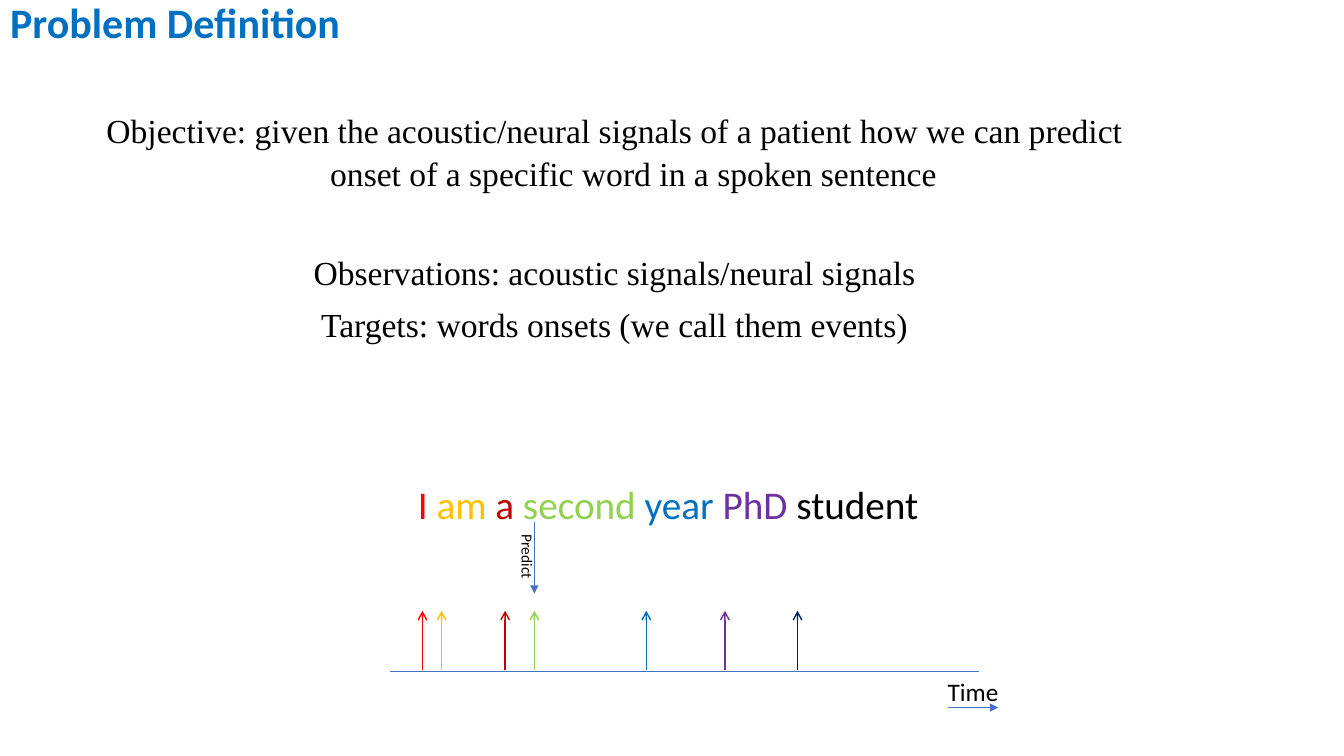
from lxml import etree
from pptx import Presentation
from pptx import util as u
from pptx.dml import color
from pptx.enum import shapes, text
from pptx.oxml import ns

COLORS = {
    "black": "000000", "blue": "0070C0", "red": "FF0000", "amber": "FFC000",
    "crimson": "C00000", "green": "92D050", "purple": "7030A0",
    "navy": "002060", "accent": "4472C4",
}
OBJECTIVE = [
    ("Objective: given the acoustic/neural signals of a patient how we can "
     "predict onset of a specific word in a spoken sentence", 0),
    ("Observations: acoustic signals/neural signals", 34),
    ("Targets: words onsets (we call them events)", 0),
]
SENTENCE = [
    ("I ", "red"), ("am ", "amber"), ("a ", "crimson"), ("second ", "green"),
    ("year ", "blue"), ("PhD", "purple"), (" student ", "black"),
]
ONSETS = [
    (4.19, "red"), (4.38, "amber"), (5.01, "crimson"), (5.3, "green"),
    (6.41, "blue"), (7.19, "purple"), (7.91, "navy"),
]
AXIS_Y = 6.66


def rgb(name):
    return color.RGBColor.from_string(COLORS[name])


def set_format(target, values):
    for name, value in values.items():
        setattr(target, name, value)


def place(box, left, top, width, height, wrap=True):
    set_format(box, {"left": u.Inches(left), "top": u.Inches(top),
                     "width": u.Inches(width), "height": u.Inches(height)})
    set_format(box.text_frame, {"word_wrap": wrap,
                                "auto_size": text.MSO_AUTO_SIZE.NONE,
                                "vertical_anchor": text.MSO_ANCHOR.TOP})


def add_span(para, words, size, hue="black", font="Calibri", bold=False):
    span = para.add_run()
    span.text = words
    set_format(span.font, {"name": font, "size": u.Pt(size), "bold": bold})
    span.font.color.rgb = rgb(hue)


def add_label(page, words, size, *area):
    box = page.shapes.add_textbox(0, 0, 0, 0)
    place(box, *area, wrap=False)
    add_span(box.text_frame.paragraphs[0], words, size)
    return box


def add_line(page, start, end, hue, width, head=None):
    line = page.shapes.add_connector(
        shapes.MSO_CONNECTOR.STRAIGHT, *map(u.Inches, start + end))
    line.line.color.rgb = rgb(hue)
    line.line.width = u.Pt(width)
    if head:
        etree.SubElement(line.line._get_or_add_ln(),
                         ns.qn("a:tailEnd"), type=head)
    etree.SubElement(line._element.spPr, ns.qn("a:effectLst"))


def fill_title(box):
    place(box, 0, -0.08, 11.83, 0.61)
    para = box.text_frame.paragraphs[0]
    para.alignment = text.PP_ALIGN.LEFT
    add_span(para, "Problem Definition", 30, "blue", bold=True)


def fill_body(box):
    place(box, 0.6, 1.01, 10.99, 3.35)
    frame = box.text_frame
    for index, (words, gap) in enumerate(OBJECTIVE):
        para = frame.add_paragraph() if index else frame.paragraphs[0]
        set_format(para, {"alignment": text.PP_ALIGN.CENTER,
                          "line_spacing": 1.07,
                          "space_before": u.Pt(gap), "space_after": u.Pt(6)})
        props = para._p.get_or_add_pPr()
        set_format(props, {"marL": 0, "indent": 0})
        etree.SubElement(props, ns.qn("a:buNone"))
        add_span(para, words, 24, font="Times New Roman")


def add_sentence(page):
    box = page.shapes.add_textbox(0, 0, 0, 0)
    place(box, 0.92, 4.77, 11.5, 0.61)
    para = box.text_frame.paragraphs[0]
    set_format(para, {"alignment": text.PP_ALIGN.CENTER, "line_spacing": 0.9})
    for words, hue in SENTENCE:
        add_span(para, words, 28, hue)


def add_timeline(page):
    add_line(page, (3.87, AXIS_Y), (9.71, AXIS_Y), "accent", 0.5)
    for x, hue in ONSETS:
        add_line(page, (x, 6.65), (x, 6.06), hue, 1, "arrow")


def main():
    deck = Presentation()
    deck.slide_width, deck.slide_height = u.Inches(13.33), u.Inches(7.5)
    page = deck.slides.add_slide(deck.slide_layouts[1])

    # Title and problem statement
    fill_title(page.shapes.title)
    fill_body(page.placeholders[1])

    # Spoken sentence and its word onsets
    add_sentence(page)
    add_timeline(page)

    # Prediction marker
    add_line(page, (5.3, 5.18), (5.3, 5.89), "accent", 0.5, "triangle")
    add_label(page, "Predict", 11, 4.91, 5.38, 0.64, 0.29).rotation = 90

    # Time direction
    add_line(page, (9.4, 7.02), (9.9, 7.02), "accent", 0.5, "triangle")
    add_label(page, "Time", 18, 9.3, AXIS_Y, 0.71, 0.4)

    deck.save("out.pptx")


if __name__ == "__main__":
    main()
